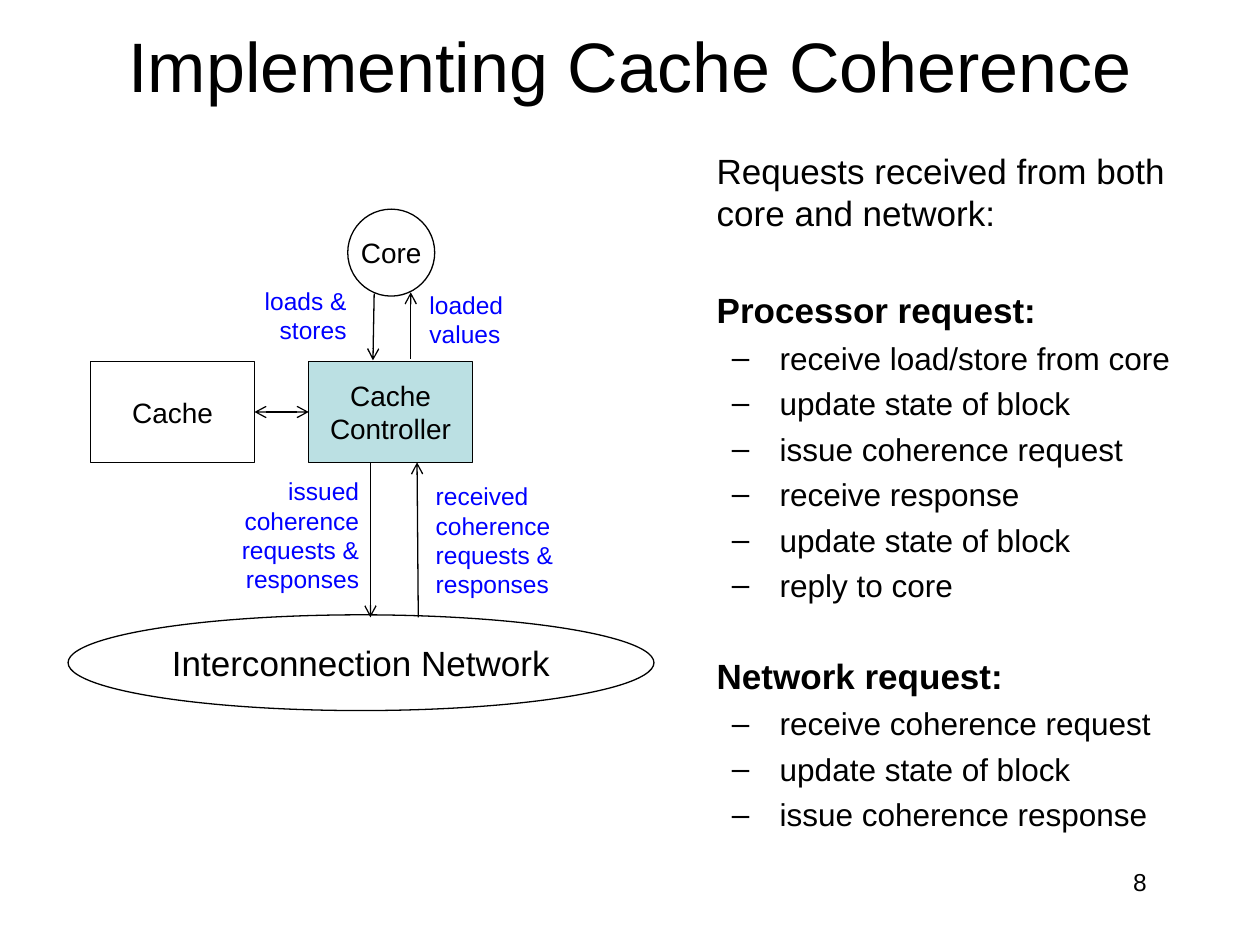
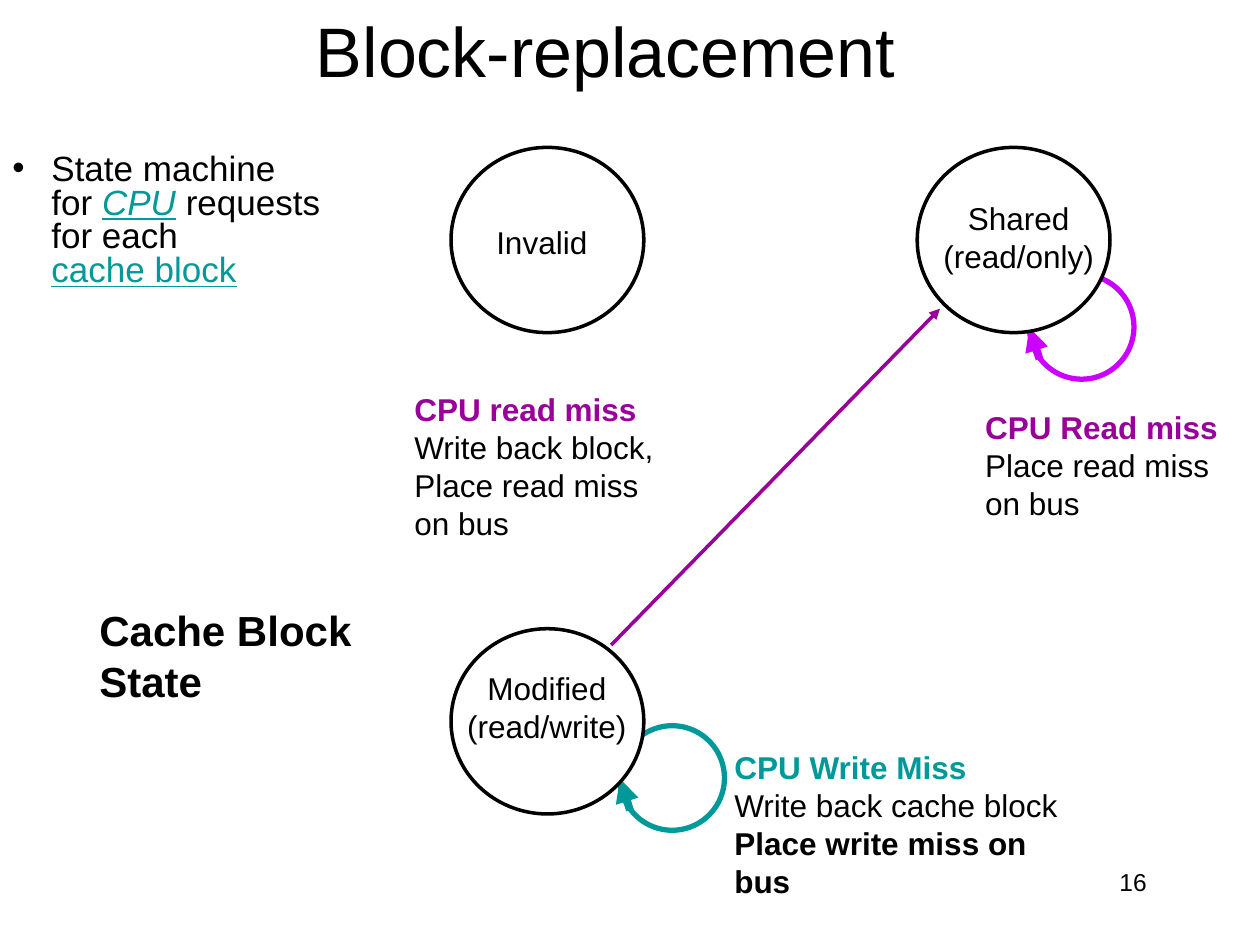
from lxml import etree
from pptx import Presentation
from pptx.dml.color import RGBColor
from pptx.enum.shapes import MSO_CONNECTOR, MSO_SHAPE
from pptx.enum.text import MSO_ANCHOR, PP_ALIGN
from pptx.oxml.ns import qn
from pptx.util import Inches, Pt

LEFT, MID, RIGHT = PP_ALIGN.LEFT, PP_ALIGN.CENTER, PP_ALIGN.RIGHT
TOP, CENTER = MSO_ANCHOR.TOP, MSO_ANCHOR.MIDDLE
OVAL, RECT = MSO_SHAPE.OVAL, MSO_SHAPE.RECTANGLE
STRAIGHT = MSO_CONNECTOR.STRAIGHT

BLACK = RGBColor(0, 0, 0)
WHITE = RGBColor(255, 255, 255)
BLUE = RGBColor(0, 0, 255)
PALE = RGBColor(0xBB, 0xE0, 0xE3)
TEAL = RGBColor(0, 0x99, 0x99)
PURPLE = RGBColor(0x99, 0, 0x99)
PINK = RGBColor(0xCC, 0, 0xFF)
FONT = "Arial"


def add_run(para, text, size=18, color=BLACK, bold=False, slant=False, under=False):
    run = para.add_run()
    run.text = text
    font = run.font
    font.name, font.size, font.bold = FONT, Pt(size), bold
    font.italic, font.underline = slant, under
    font.color.rgb = color


def write(frame, lines, align=LEFT, anchor=TOP, wrap=True, pad=0.1, **style):
    frame.word_wrap = wrap
    frame.vertical_anchor = anchor
    frame.margin_left = frame.margin_right = Inches(pad)
    for i, line in enumerate(lines):
        para = frame.paragraphs[0] if i == 0 else frame.add_paragraph()
        para.alignment = align
        text, extra = (line, {}) if isinstance(line, str) else line
        add_run(para, text, **{**style, **extra})


def label(slide, box, *lines, **style):
    area = slide.shapes.add_textbox(*map(Inches, box))
    write(area.text_frame, lines, **style)
    return area


def indent(para, left, hang=0, mark=None):
    props = para._p.get_or_add_pPr()
    props.set("marL", str(Inches(left)))
    props.set("indent", str(-Inches(hang)))
    if mark:
        etree.SubElement(props, qn("a:buFont")).set("typeface", FONT)
        etree.SubElement(props, qn("a:buChar")).set("char", mark)


def node(slide, kind, box, text=None, fill=None, color=BLACK, width=0.75, size=16, pad=0.1):
    shape = slide.shapes.add_shape(kind, *map(Inches, box))
    shape.shadow.inherit = False
    if fill is None:
        shape.fill.background()
    else:
        shape.fill.solid()
        shape.fill.fore_color.rgb = fill
    shape.line.color.rgb = color
    shape.line.width = Pt(width)
    if text:
        write(shape.text_frame, [text], align=MID, anchor=CENTER, size=size, pad=pad)
    return shape


def arrow(slide, start, end, color=BLACK, width=0.75, head=None, tail=None):
    link = slide.shapes.add_connector(STRAIGHT, *map(Inches, (*start, *end)))
    link.line.color.rgb = color
    link.line.width = Pt(width)
    line = link.line._get_or_add_ln()
    for tag, kind in (("a:headEnd", head), ("a:tailEnd", tail)):
        if kind:
            etree.SubElement(line, qn(tag)).set("type", kind)
    etree.SubElement(link._element.spPr, qn("a:effectLst"))
    return link


def start_slide(deck, title, box, number):
    slide = deck.slides.add_slide(deck.slide_layouts[6])
    label(slide, box, title, align=MID, anchor=CENTER, size=40)
    label(slide, (7.17, 6.83, 2.03, 0.5), number, align=RIGHT, size=14)
    return slide


def diagram(slide, x, y):
    def note(left, top, width, height, align, *lines):
        label(slide, (x + left, y + top, width, height), *lines,
              align=align, wrap=False, size=14, color=BLUE)

    def link(x1, y1, x2, y2, **ends):
        return arrow(slide, (x + x1, y + y1), (x + x2, y + y2), **ends)

    node(slide, OVAL, (x + 2.22, y, 0.69, 0.69), "Core", pad=0)
    cache, control = [
        node(slide, RECT, (x + left, y + 1.21, 1.3, 0.8), text, fill=fill)
        for left, text, fill in ((0.18, "Cache", None), (1.91, "Cache Controller", PALE))]
    node(slide, OVAL, (x, y + 3.22, 4.65, 0.76), "Interconnection Network", size=20)

    both = link(1.48, 1.61, 1.91, 1.61, head="arrow", tail="arrow")
    both.begin_connect(cache, 3)
    both.end_connect(control, 1)
    link(2.43, 0.67, 2.42, 1.2, tail="arrow")
    link(2.72, 0.66, 2.72, 1.19, head="arrow")
    link(2.4, 2.01, 2.4, 3.24, tail="arrow")
    link(2.77, 2.01, 2.78, 3.24, head="arrow")

    note(1.45, 0.56, 0.86, 0.57, RIGHT, "loads &", "stores")
    note(2.77, 0.59, 0.81, 0.57, LEFT, "loaded", "values")
    note(1.27, 2.07, 1.14, 1.04, RIGHT, "issued", "coherence", "requests &", "responses")
    note(2.82, 2.11, 1.14, 1.04, LEFT, "received", "coherence", "requests &", "responses")


def requests(slide, box):
    heads = {"Processor request:": 31.5, "Network request:": 29}
    intro = "Requests received from both core and network:"
    lines = [intro, "Processor request:", "receive load/store from core",
             "update state of block", "issue coherence request", "receive response",
             "update state of block", "reply to core", "Network request:",
             "receive coherence request", "update state of block",
             "issue coherence response"]
    styled = [(text, {"size": 20 if text in heads or text == intro else 18,
                      "bold": text in heads}) for text in lines]
    area = label(slide, box, *styled)
    for para in area.text_frame.paragraphs:
        if para.text == intro:
            indent(para, 0.38)
        elif para.text in heads:
            indent(para, 0.38)
            para.space_before = Pt(heads[para.text])
        else:
            indent(para, 0.88, 0.38, "–")
            para.space_before = Pt(4.4)


def summary(slide, box):
    area = label(slide, box)
    para = area.text_frame.paragraphs[0]
    area.text_frame.word_wrap = True
    indent(para, 0.31, 0.31, "•")
    para.line_spacing = 0.8
    mark = {"color": TEAL, "under": True}
    rows = [[("State machine", {})],
            [("for ", {}), ("CPU", {**mark, "slant": True}), (" requests", {})],
            [("for each ", {})],
            [("cache block", mark)]]
    for i, row in enumerate(rows):
        if i:
            para.add_line_break()
        for text, style in row:
            add_run(para, text, size=20, **style)


def loop(slide, x, y, color):
    node(slide, OVAL, (x, y, 0.83, 0.83), color=color, width=3)
    arrow(slide, (x, y + 0.42), (x + 0.08, y + 0.67), color, 4.5, head="triangle")


def states(slide, x, y):
    loop(slide, x + 1.34, y + 4.59, TEAL)
    loop(slide, x + 4.59, y + 1.01, PINK)
    for left, top in ((0, 0), (3.7, 0), (0, 3.82)):
        node(slide, OVAL, (x + left, y + top, 1.53, 1.47), fill=WHITE, width=2)
    arrow(slide, (x + 1.27, y + 3.95), (x + 3.88, y + 1.28), PURPLE, 2, tail="triangle")

    names = [((0.26, 0.55, 0.92, 0.4), LEFT, ["Invalid"]),
             ((3.8, 0.36, 1.41, 0.7), MID, ["Shared", "(read/only)"]),
             ((0, 4.09, 1.52, 0.7), MID, ["Modified", "(read/write)"])]
    for (left, top, width, height), align, lines in names:
        label(slide, (x + left, y + top, width, height), *lines, align=align, wrap=False)

    notes = [((-0.39, 1.88, 2.1, 1.3), PURPLE, False,
              ["CPU read miss", "Write back block,", "Place read miss", "on bus"]),
             ((4.14, 2.02, 2.05, 1), PURPLE, False,
              ["CPU Read miss", "Place read miss", "on bus"]),
             ((2.15, 4.72, 2.8, 1.3), TEAL, True,
              ["CPU Write Miss", "Write back cache block",
               ("Place write miss on bus", {"bold": True})])]
    for (left, top, width, height), color, wrap, (head, *rest) in notes:
        label(slide, (x + left, y + top, width, height),
              (head, {"color": color, "bold": True}), *rest, wrap=wrap)


def main():
    deck = Presentation()
    deck.slide_width, deck.slide_height = Inches(10), Inches(7.5)

    slide = start_slide(deck, "Implementing Cache Coherence", (0.75, 0, 8.5, 1.03), "8")
    diagram(slide, 0.54, 1.66)
    requests(slide, (5.21, 1.14, 4.68, 5.54))

    slide = start_slide(deck, "Block-replacement", (0.68, 0.1, 8.25, 0.58), "16")
    summary(slide, (0, 1.18, 3.5, 1.06))
    states(slide, 3.58, 1.17)
    label(slide, (0.69, 4.75, 2.2, 0.9), "Cache Block", "State",
          wrap=False, size=24, bold=True)

    deck.save("out.pptx")


if __name__ == "__main__":
    main()
